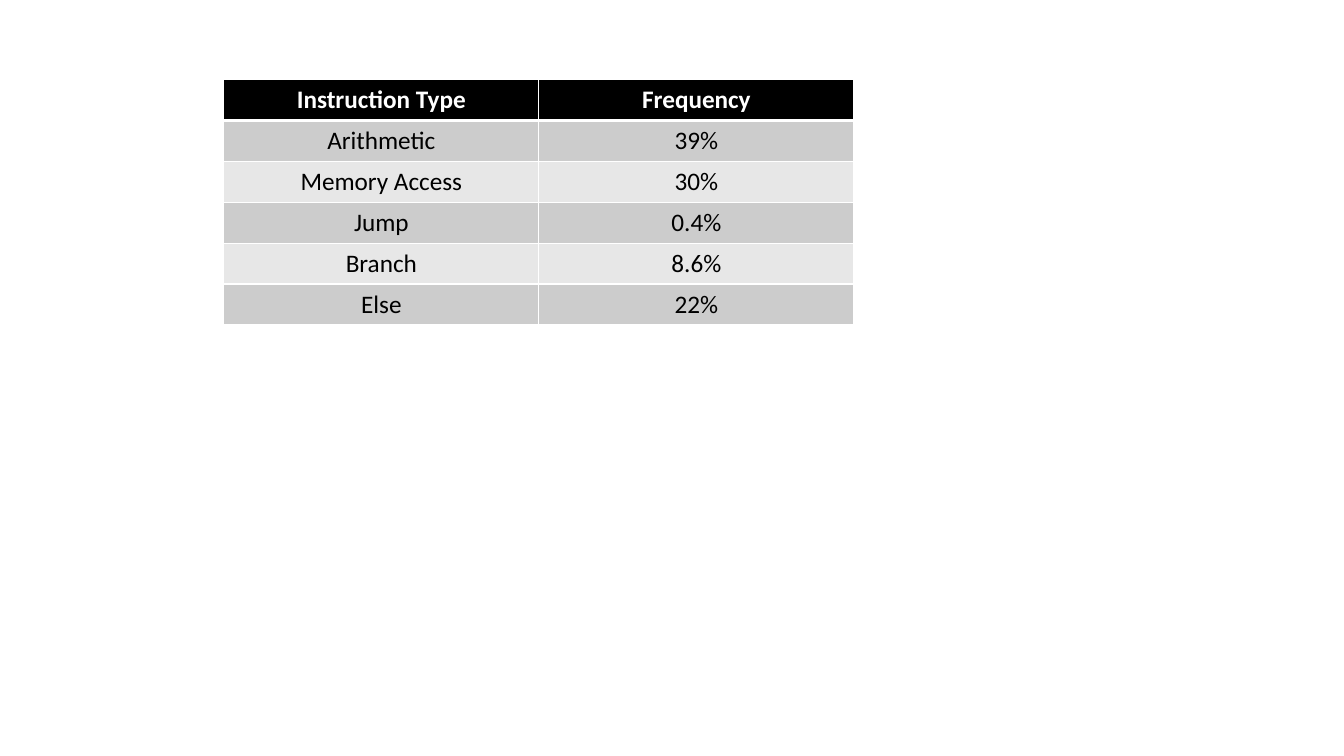
"""Build a slide with a table of instruction type frequencies."""
import pptx
import pptx.dml.color
import pptx.enum.text
import pptx.oxml.ns
import pptx.util
from lxml import etree

Inches = pptx.util.Inches
Pt = pptx.util.Pt
RGBColor = pptx.dml.color.RGBColor
qn = pptx.oxml.ns.qn

BLACK = RGBColor(0x00, 0x00, 0x00)
WHITE = RGBColor(0xFF, 0xFF, 0xFF)
DARK_BAND = RGBColor(0xCC, 0xCC, 0xCC)
LIGHT_BAND = RGBColor(0xE7, 0xE7, 0xE7)

FREQUENCIES = [
    ("Instruction Type", "Frequency"),
    ("Arithmetic", "39%"),
    ("Memory Access", "30%"),
    ("Jump", "0.4%"),
    ("Branch", "8.6%"),
    ("Else", "22%"),
]


class SlideBuilder:
    font = "Calibri"
    size = Pt(18)

    def __init__(self, prs):
        self.slide = prs.slides.add_slide(prs.slide_layouts[6])

    def border(self, cell, side, width):
        tc_pr = cell._tc.get_or_add_tcPr()
        ln = etree.SubElement(tc_pr, qn(f"a:ln{side}"), w=str(Pt(width)))
        fill = etree.SubElement(ln, qn("a:solidFill"))
        etree.SubElement(fill, qn("a:srgbClr"), val=str(WHITE))

    def cell(self, cell, text, row):
        header = row == 0
        widths = {"L": 1, "R": 1, "T": 3 if row == 1 else 1, "B": 3 if header else 1}
        for side, width in widths.items():
            self.border(cell, side, width)
        cell.fill.solid()
        band = DARK_BAND if row % 2 else LIGHT_BAND
        cell.fill.fore_color.rgb = BLACK if header else band
        cell.text = text
        p = cell.text_frame.paragraphs[0]
        p.alignment = pptx.enum.text.PP_ALIGN.CENTER
        p.font.name = self.font
        p.font.size = self.size
        p.font.bold = header
        p.font.color.rgb = WHITE if header else BLACK

    def table(self, rows, left, top, width, height):
        frame = self.slide.shapes.add_table(len(rows), len(rows[0]), left, top, width, height)
        for i, row in enumerate(rows):
            for j, text in enumerate(row):
                self.cell(frame.table.cell(i, j), text, i)


def main():
    prs = pptx.Presentation()
    prs.slide_width = Inches(13.33)
    prs.slide_height = Inches(7.5)
    builder = SlideBuilder(prs)
    builder.table(FREQUENCIES, Inches(2.22), Inches(0.79), Inches(6.25), Inches(2.43))
    prs.save("out.pptx")


if __name__ == "__main__":
    main()
